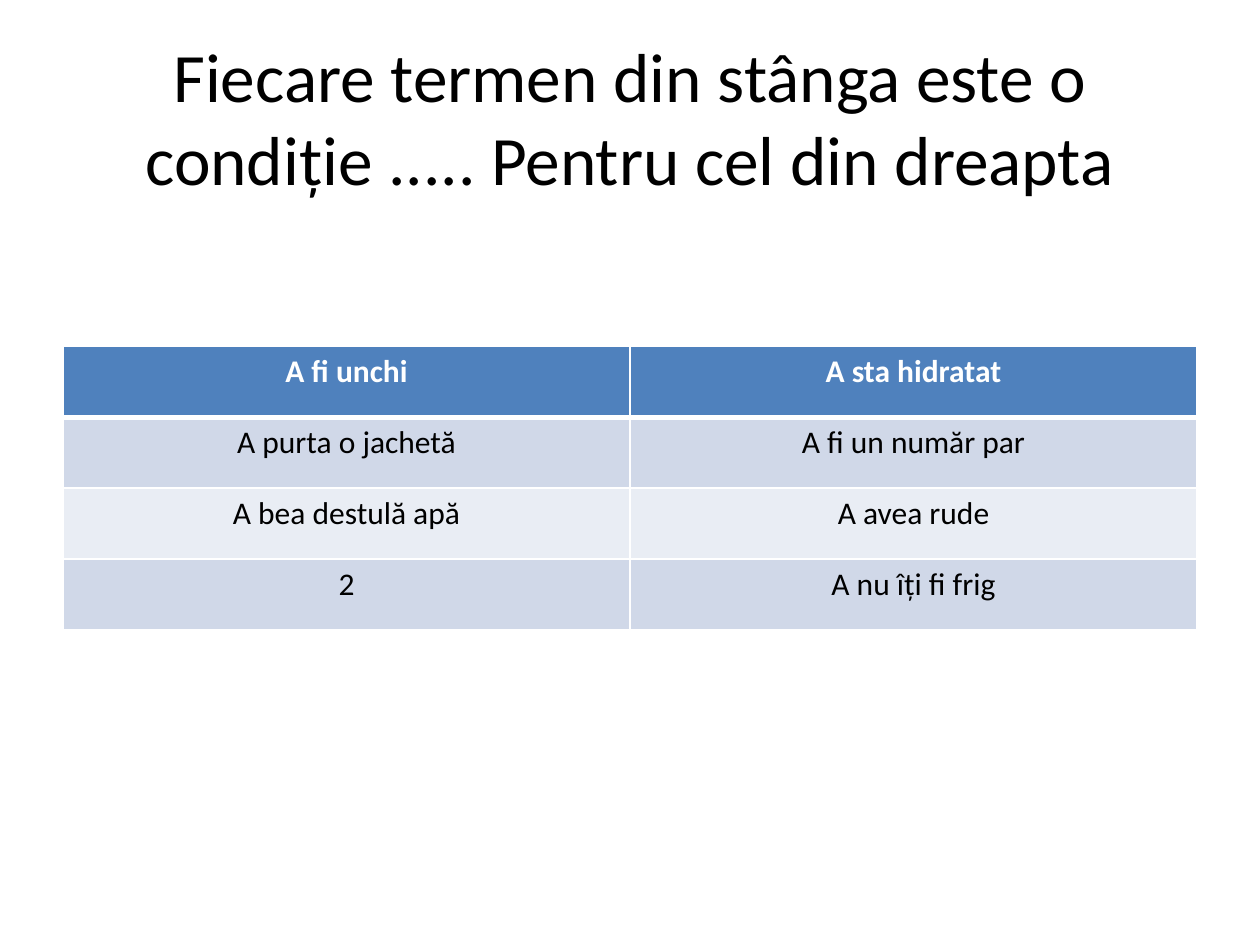
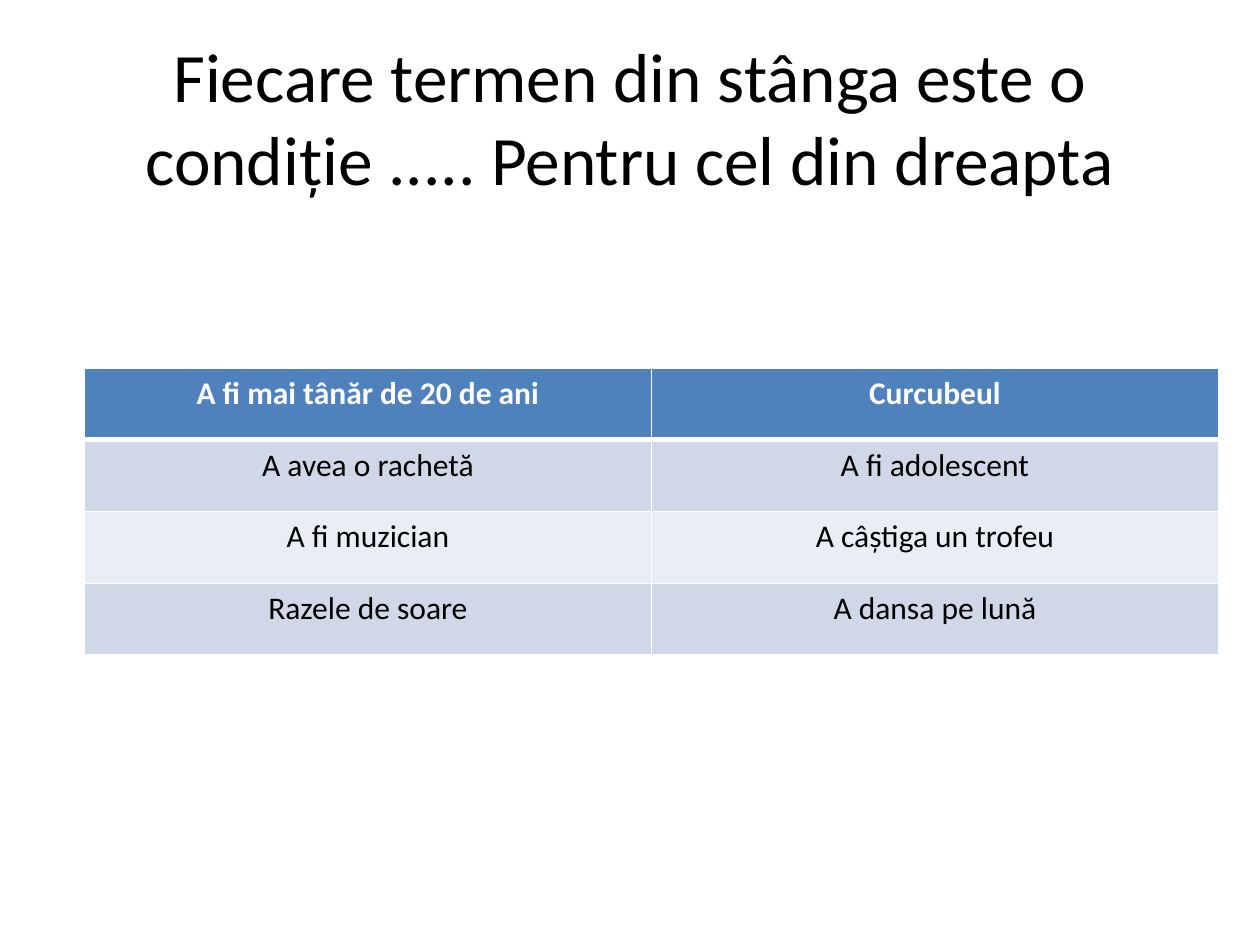
from dataclasses import dataclass

from lxml.etree import SubElement
from pptx import Presentation
from pptx.dml.color import RGBColor
from pptx.enum.text import MSO_ANCHOR, MSO_AUTO_SIZE, PP_ALIGN
from pptx.oxml.ns import qn
from pptx.slide import Slide
from pptx.table import _Cell
from pptx.text.text import TextFrame
from pptx.util import Inches, Pt

WIDTH, HEIGHT = Inches(10), Inches(7.5)
FONT = "Calibri"
WHITE, BLACK, HEADER = "FFFFFF", "000000", "4F81BD"
BANDS = ("E9EDF4", "D0D8E8")
QUESTION = "Fiecare termen din stânga este o condiție ..... Pentru cel din dreapta"


@dataclass(frozen=True)
class Exercise:
    """Pairs of terms, with the top left corner and row height as slide shares."""

    left: float
    top: float
    row_height: float
    pairs: tuple[tuple[str, str], ...]


EXERCISES = (
    Exercise(0.05, 2.75 / 7.5, 0.075, (
        ("A fi unchi", "A sta hidratat"),
        ("A purta o jachetă", "A fi un număr par"),
        ("A bea destulă apă", "A avea rude"),
        ("2", "A nu îți fi frig"),
    )),
    Exercise(0.067, 2.92 / 7.5, 0.076, (
        ("A fi mai tânăr de 20 de ani", "Curcubeul"),
        ("A avea o rachetă", "A fi adolescent"),
        ("A fi muzician", "A câștiga un trofeu"),
        ("Razele de soare", "A dansa pe lună"),
    )),
)


def color(hex_value: str) -> RGBColor:
    """Turn a hex string into a colour."""
    return RGBColor.from_string(hex_value)


def write(frame: TextFrame, text: str, *, size: float, ink: str = BLACK, bold: bool = False) -> None:
    """Put one centred, formatted paragraph into a text frame."""
    paragraph = frame.paragraphs[0]
    paragraph.alignment = PP_ALIGN.CENTER
    run = paragraph.add_run()
    run.text = text
    run.font.name, run.font.size, run.font.bold = FONT, Pt(size), bold
    run.font.color.rgb = color(ink)


def rule_cell(cell: _Cell, **widths: float) -> None:
    """Draw white borders round a cell, one point wide unless a side says otherwise."""
    properties = cell._tc.get_or_add_tcPr()
    for side in "LRTB":
        border = SubElement(properties, qn(f"a:ln{side}"), w=str(Pt(widths.get(side, 1))))
        fill = SubElement(border, qn("a:solidFill"))
        SubElement(fill, qn("a:srgbClr"), val=WHITE)


def add_question(slide: Slide) -> None:
    """Place and format the title shared by the slides."""
    title = slide.shapes.title
    title.left, title.top = int(WIDTH * 0.05), int(HEIGHT * 0.04)
    title.width, title.height = int(WIDTH * 0.9), Inches(1.25)
    title.text_frame.word_wrap = True
    title.text_frame.auto_size = MSO_AUTO_SIZE.NONE
    title.text_frame.vertical_anchor = MSO_ANCHOR.MIDDLE
    write(title.text_frame, QUESTION, size=39.6)


def add_pairs(slide: Slide, exercise: Exercise) -> None:
    """Draw the two-column table of terms."""
    count = len(exercise.pairs)
    table = slide.shapes.add_table(
        count, 2, int(WIDTH * exercise.left), int(HEIGHT * exercise.top),
        int(WIDTH * 0.9), int(HEIGHT * exercise.row_height * count),
    ).table
    for row, pair in enumerate(exercise.pairs):
        is_header = row == 0
        for column, term in enumerate(pair):
            cell = table.cell(row, column)
            rule_cell(cell, T=3 if row == 1 else 1, B=3 if is_header else 1)
            cell.fill.solid()
            cell.fill.fore_color.rgb = color(HEADER if is_header else BANDS[row % 2])
            write(cell.text_frame, term, size=18, ink=WHITE if is_header else BLACK, bold=is_header)


def main() -> None:
    """Build and save the exercise slides."""
    deck = Presentation()
    deck.slide_width, deck.slide_height = WIDTH, HEIGHT
    for exercise in EXERCISES:
        slide = deck.slides.add_slide(deck.slide_layouts[5])
        add_question(slide)
        add_pairs(slide, exercise)
    deck.save("out.pptx")


if __name__ == "__main__":
    main()
